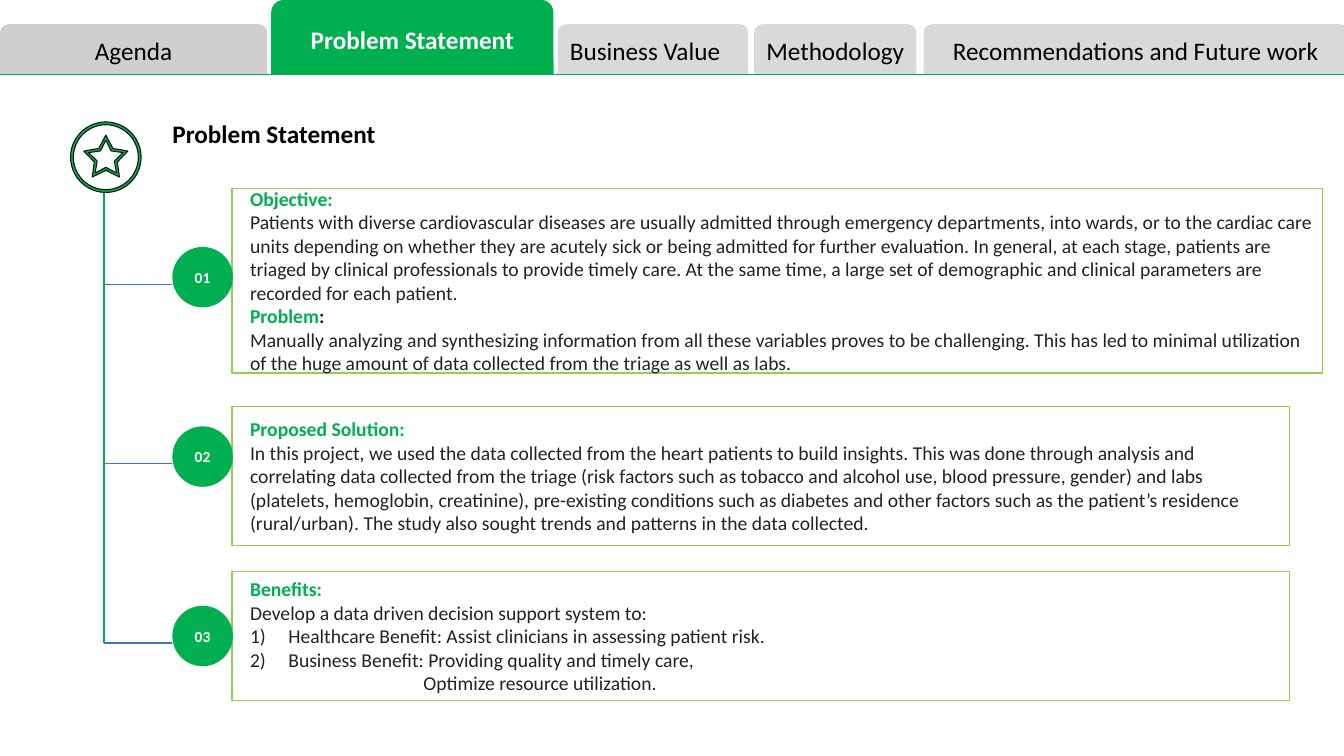
import math

from lxml import etree
from pptx import Presentation
from pptx import util as u
from pptx.dml.color import RGBColor
from pptx.enum import shapes, text
from pptx.oxml import ns

PX = 9144
FONT = "Calibri"
GREEN = RGBColor(0x00, 0xB0, 0x50)
LIME = RGBColor(0x92, 0xD0, 0x50)
BLUE = RGBColor(0x44, 0x72, 0xC4)
LIGHT_GRAY = RGBColor(0xD9, 0xD9, 0xD9)
WARM_GRAY = RGBColor(0xD0, 0xCE, 0xCE)
INK = RGBColor(0x22, 0x22, 0x22)
OUTLINE = RGBColor(0x0D, 0x0D, 0x0D)
BLACK = RGBColor(0, 0, 0)
WHITE = RGBColor(0xFF, 0xFF, 0xFF)

CENTER = text.PP_ALIGN.CENTER
LEFT = text.PP_ALIGN.LEFT
KIND = shapes.MSO_SHAPE

TABS = [
    ("Problem Statement", 269, 0, 280, GREEN, WHITE, True, CENTER),
    ("Business Value", 553, 24, 189, LIGHT_GRAY, BLACK, False, LEFT),
    ("Methodology", 748, 24, 161, LIGHT_GRAY, BLACK, False, CENTER),
    ("Agenda", 0, 24, 265, WARM_GRAY, BLACK, False, CENTER),
    ("Recommendations and Future work", 916, 24, 421, LIGHT_GRAY, BLACK, False, CENTER),
]
TAB_BOTTOM = 74
TAB_INSETS = {LEFT: (10, 5, 5, 5), CENTER: (5, 5, 5, 5)}


def heading(words):
    return [(words, GREEN, True)], 0, False


def body(words, margin=0, numbered=False):
    return [(words, INK, False)], margin, numbered


PANELS = [
    (187, 1082, 183, [
        heading("Objective:"),
        body("Patients with diverse cardiovascular diseases are usually admitted through "
             "emergency departments, into wards, or to the cardiac care units depending on "
             "whether they are acutely sick or being admitted for further evaluation. In "
             "general, at each stage, patients are triaged by clinical professionals to "
             "provide timely care. At the same time, a large set of demographic and clinical "
             "parameters are recorded for each patient."),
        ([("Problem", GREEN, True), (":", INK, True)], 0, False),
        body("Manually analyzing and synthesizing information from all these variables proves "
             "to be challenging. This has led to minimal utilization of the huge amount of "
             "data collected from the triage as well as labs."),
    ]),
    (403, 1049, 138, [
        heading("Proposed Solution:"),
        body("In this project, we used the data collected from the heart patients to build "
             "insights. This was done through analysis and correlating data collected from "
             "the triage (risk factors such as tobacco and alcohol use, blood pressure, "
             "gender) and labs (platelets, hemoglobin, creatinine), pre-existing conditions "
             "such as diabetes and other factors such as the patient’s residence "
             "(rural/urban). The study also sought trends and patterns in the data collected."),
    ]),
    (567, 1049, 128, [
        heading("Benefits:"),
        body("Develop a data driven decision support system to:"),
        body("Healthcare Benefit: Assist clinicians in assessing patient risk.", 38, True),
        body("Business Benefit: Providing quality and timely care,", 38, True),
        body("Optimize resource utilization.", 172),
    ]),
]


def px(*lengths):
    return [u.Emu(round(length * PX)) for length in lengths]


def apply(target, values):
    for name, value in values.items():
        setattr(target, name, value)


def set_frame(frame, insets, anchor=text.MSO_ANCHOR.MIDDLE):
    sides = ("margin_left", "margin_top", "margin_right", "margin_bottom")
    apply(frame, dict(zip(sides, px(*insets)), word_wrap=True, vertical_anchor=anchor,
                      auto_size=text.MSO_AUTO_SIZE.NONE))


def add_run(paragraph, words, size, color, bold):
    run = paragraph.add_run()
    run.text = words
    apply(run.font, {"name": FONT, "size": u.Pt(size), "bold": bold})
    run.font.color.rgb = color


def paint(shape, fill=None, line=None, width=1):
    shape.shadow.inherit = False
    if fill is None:
        shape.fill.background()
    else:
        shape.fill.solid()
        shape.fill.fore_color.rgb = fill
    if line is None:
        shape.line.fill.background()
    else:
        shape.line.color.rgb = line
        shape.line.width = u.Pt(width)


def add_label(slide, kind, box, fill, words, size, color, bold, align, insets):
    shape = slide.shapes.add_shape(kind, *px(*box))
    paint(shape, fill)
    set_frame(shape.text_frame, insets)
    paragraph = shape.text_frame.paragraphs[0]
    paragraph.alignment = align
    add_run(paragraph, words, size, color, bold)


def add_rule(slide, start, end, color, width):
    rule = slide.shapes.add_connector(shapes.MSO_CONNECTOR.STRAIGHT, *px(*start, *end))
    rule.line.color.rgb = color
    rule.line.width = u.Pt(width)
    etree.SubElement(rule._element.spPr, ns.qn("a:effectLst"))


def indent(paragraph, margin, numbered):
    properties = paragraph._p.get_or_add_pPr()
    properties.set("marL", str(margin * PX))
    properties.set("indent", str(-margin * PX if numbered else 0))
    if numbered:
        etree.SubElement(properties, ns.qn("a:buAutoNum"), type="arabicParenR")


def add_panel(slide, top, width, height, content):
    panel = slide.shapes.add_shape(KIND.RECTANGLE, *px(230, top, width, height))
    paint(panel, line=LIME)
    frame = panel.text_frame
    set_frame(frame, (18, 6, 8, 6))
    for index, (runs, margin, numbered) in enumerate(content):
        paragraph = frame.add_paragraph() if index else frame.paragraphs[0]
        paragraph.alignment = LEFT
        indent(paragraph, margin, numbered)
        for words, color, bold in runs:
            add_run(paragraph, words, 14, color, bold)


def star_points(outer, inner):
    for step in range(10):
        radius = inner if step % 2 else outer
        angle = math.radians(36 * step - 90)
        yield px(105 + radius * math.cos(angle), 157 + radius * math.sin(angle))


def add_star_badge(slide):
    first, *rest = star_points(23, 12)
    builder = slide.shapes.build_freeform(*first, scale=1.0)
    builder.add_line_segments(rest, close=True)
    first, *rest = star_points(18, 9)
    builder.move_to(*first)
    builder.add_line_segments(rest, close=True)
    paint(builder.convert_to_shape(), GREEN, OUTLINE, 0.75)
    ring = slide.shapes.add_shape(KIND.DONUT, *px(70, 121, 70, 70))
    ring.adjustments[0] = 0.04
    paint(ring, GREEN, OUTLINE, 0.75)


def set_title(slide, words):
    title = slide.shapes.title
    apply(title, dict(zip(("left", "top", "width", "height"), px(171, 114, 629, 32))))
    set_frame(title.text_frame, (0, 0, 0, 0), text.MSO_ANCHOR.TOP)
    paragraph = title.text_frame.paragraphs[0]
    apply(paragraph, {"alignment": LEFT, "line_spacing": 1.1})
    add_run(paragraph, words, 18, BLACK, True)


def main():
    presentation = Presentation()
    apply(presentation, dict(zip(("slide_width", "slide_height"), px(1333, 750))))
    slide = presentation.slides.add_slide(presentation.slide_layouts[5])
    set_title(slide, "Problem Statement")

    for words, left, top, width, fill, color, bold, align in TABS:
        add_label(slide, KIND.ROUND_2_SAME_RECTANGLE, (left, top, width, TAB_BOTTOM - top),
                  fill, words, 18, color, bold, align, TAB_INSETS[align])
    add_rule(slide, (0, TAB_BOTTOM), (1333, TAB_BOTTOM), GREEN, 0.5)

    add_star_badge(slide)
    add_rule(slide, (103, 191), (103, 638), GREEN, 1)
    for index, panel in enumerate(PANELS):
        circle_top = 245 + 178 * index
        add_panel(slide, *panel)
        add_label(slide, KIND.OVAL, (171, circle_top, 60, 60), GREEN,
                  f"{index + 1:02}", 11, WHITE, True, CENTER, (0, 0, 0, 0))
        add_rule(slide, (103, circle_top + 37), (171, circle_top + 37), BLUE, 1)

    presentation.save("out.pptx")


if __name__ == "__main__":
    main()
